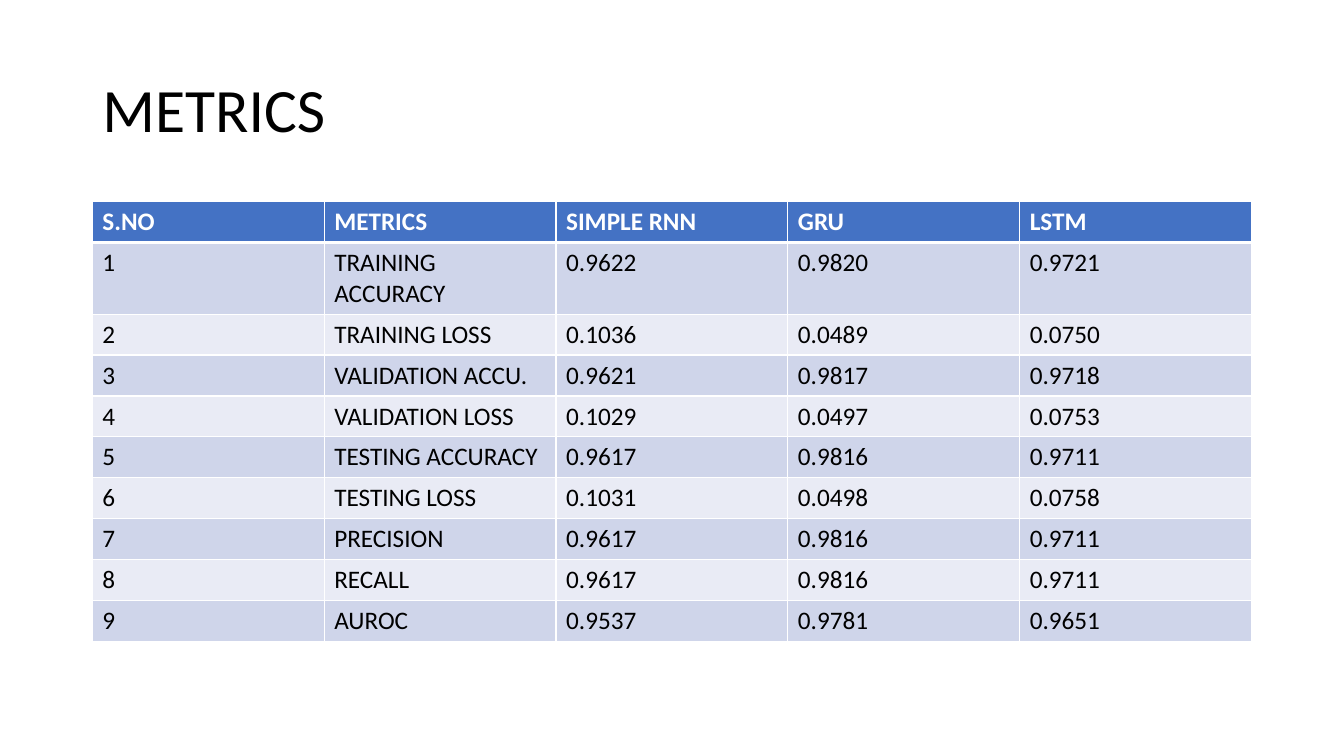
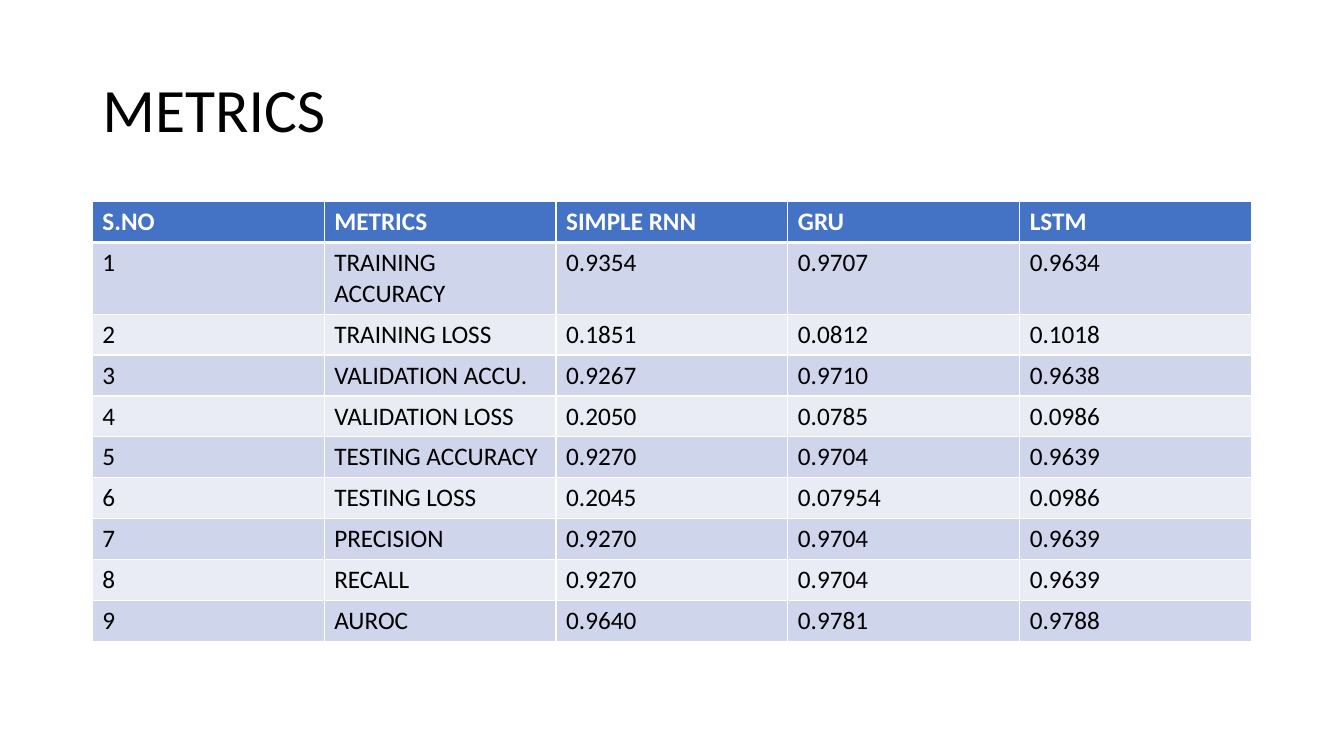
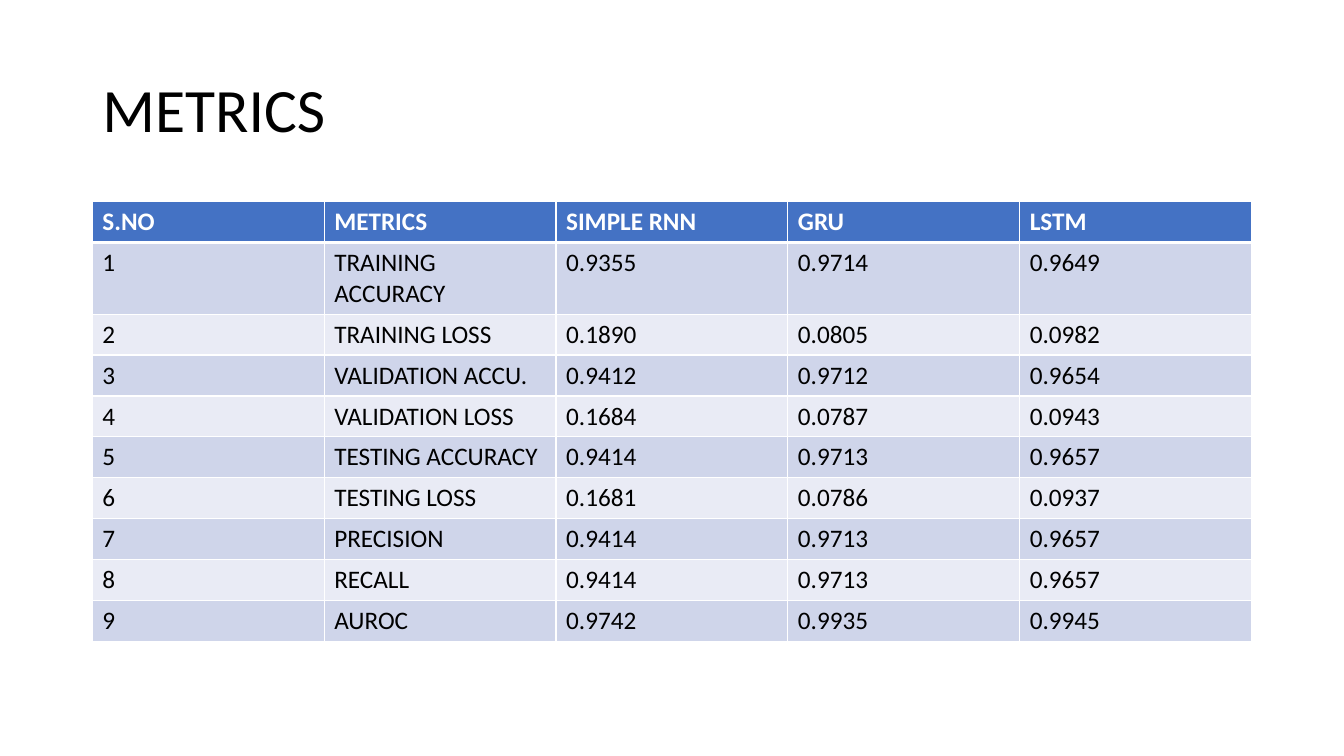
import pptx
import pptx.util
import pptx.dml.color
import pptx.enum.text
import pptx.oxml

# Content: one list of (simple RNN, GRU, LSTM) scores per slide
TITLE = "METRICS"
HEADS = ["S.NO", "METRICS", "SIMPLE RNN", "GRU", "LSTM"]
NAMES = ["TRAINING ACCURACY", "TRAINING LOSS", "VALIDATION ACCU.",
         "VALIDATION LOSS", "TESTING ACCURACY", "TESTING LOSS",
         "PRECISION", "RECALL", "AUROC"]
SCORES = [
    [("0.9622", "0.9820", "0.9721"),
     ("0.1036", "0.0489", "0.0750"),
     ("0.9621", "0.9817", "0.9718"),
     ("0.1029", "0.0497", "0.0753"),
     ("0.9617", "0.9816", "0.9711"),
     ("0.1031", "0.0498", "0.0758"),
     ("0.9617", "0.9816", "0.9711"),
     ("0.9617", "0.9816", "0.9711"),
     ("0.9537", "0.9781", "0.9651")],
    [("0.9354", "0.9707", "0.9634"),
     ("0.1851", "0.0812", "0.1018"),
     ("0.9267", "0.9710", "0.9638"),
     ("0.2050", "0.0785", "0.0986"),
     ("0.9270", "0.9704", "0.9639"),
     ("0.2045", "0.07954", "0.0986"),
     ("0.9270", "0.9704", "0.9639"),
     ("0.9270", "0.9704", "0.9639"),
     ("0.9640", "0.9781", "0.9788")],
    [("0.9355", "0.9714", "0.9649"),
     ("0.1890", "0.0805", "0.0982"),
     ("0.9412", "0.9712", "0.9654"),
     ("0.1684", "0.0787", "0.0943"),
     ("0.9414", "0.9713", "0.9657"),
     ("0.1681", "0.0786", "0.0937"),
     ("0.9414", "0.9713", "0.9657"),
     ("0.9414", "0.9713", "0.9657"),
     ("0.9742", "0.9935", "0.9945")],
]

# Shared look, lengths in px
COLORS = {"head": "4472C4", "odd": "CFD5EA", "even": "E9EBF5",
          "white": "FFFFFF", "black": "000000"}
FONT = "Calibri"
SCALE = 9525
LEFT, WIDTH = 88, 1104
TITLE_TOP, TITLE_HIGH = 38, 139
TABLE_TOP, ROW_HIGH = 192, 39


def px(n):
    return pptx.util.Emu(n * SCALE)


def rgb(name):
    return pptx.dml.color.RGBColor.from_string(COLORS[name])


def add_run(para, text, size, color, bold=False):
    run = para.add_run()
    run.text = text
    font = run.font
    font.name, font.size, font.bold = FONT, pptx.util.Pt(size), bold
    font.color.rgb = rgb(color)


def add_title(slide):
    title = slide.shapes.title
    title.left, title.top = px(LEFT), px(TITLE_TOP)
    title.width, title.height = px(WIDTH), px(TITLE_HIGH)
    frame = title.text_frame
    frame.word_wrap = True
    frame.vertical_anchor = pptx.enum.text.MSO_ANCHOR.MIDDLE
    para = frame.paragraphs[0]
    para.alignment = pptx.enum.text.PP_ALIGN.LEFT
    para.line_spacing = 0.9
    add_run(para, TITLE, 44, "black")


def add_edges(cell, row):
    # The rule below the header is thicker than the others
    points = {"L": 1, "R": 1, "T": 3 if row == 1 else 1, "B": 3 if row == 0 else 1}
    props = cell._tc.get_or_add_tcPr()
    for side, width in points.items():
        props.append(pptx.oxml.parse_xml(
            f'<a:ln{side} xmlns:a="http://schemas.openxmlformats.org/drawingml/2006/main"'
            f' w="{pptx.util.Pt(width)}"><a:solidFill><a:srgbClr val="{COLORS["white"]}"/>'
            f'</a:solidFill></a:ln{side}>'))


def add_grid(slide, scores):
    rows = [HEADS] + [[str(i), name, *vals]
                      for i, (name, vals) in enumerate(zip(NAMES, scores), 1)]
    table = slide.shapes.add_table(
        len(rows), len(HEADS), px(LEFT), px(TABLE_TOP),
        px(WIDTH), px(ROW_HIGH * len(rows))).table
    for col in table.columns:
        col.width = px(WIDTH) // len(HEADS)
    for r, texts in enumerate(rows):
        table.rows[r].height = px(ROW_HIGH)
        band = "head" if r == 0 else "odd" if r % 2 else "even"
        for c, text in enumerate(texts):
            cell = table.cell(r, c)
            add_edges(cell, r)
            cell.fill.solid()
            cell.fill.fore_color.rgb = rgb(band)
            add_run(cell.text_frame.paragraphs[0], text, 18,
                    "black" if r else "white", r == 0)


def main():
    deck = pptx.Presentation()
    deck.slide_width, deck.slide_height = px(1280), px(720)
    for scores in SCORES:
        slide = deck.slides.add_slide(deck.slide_layouts[5])
        add_title(slide)
        add_grid(slide, scores)
    deck.save("out.pptx")


if __name__ == "__main__":
    main()
